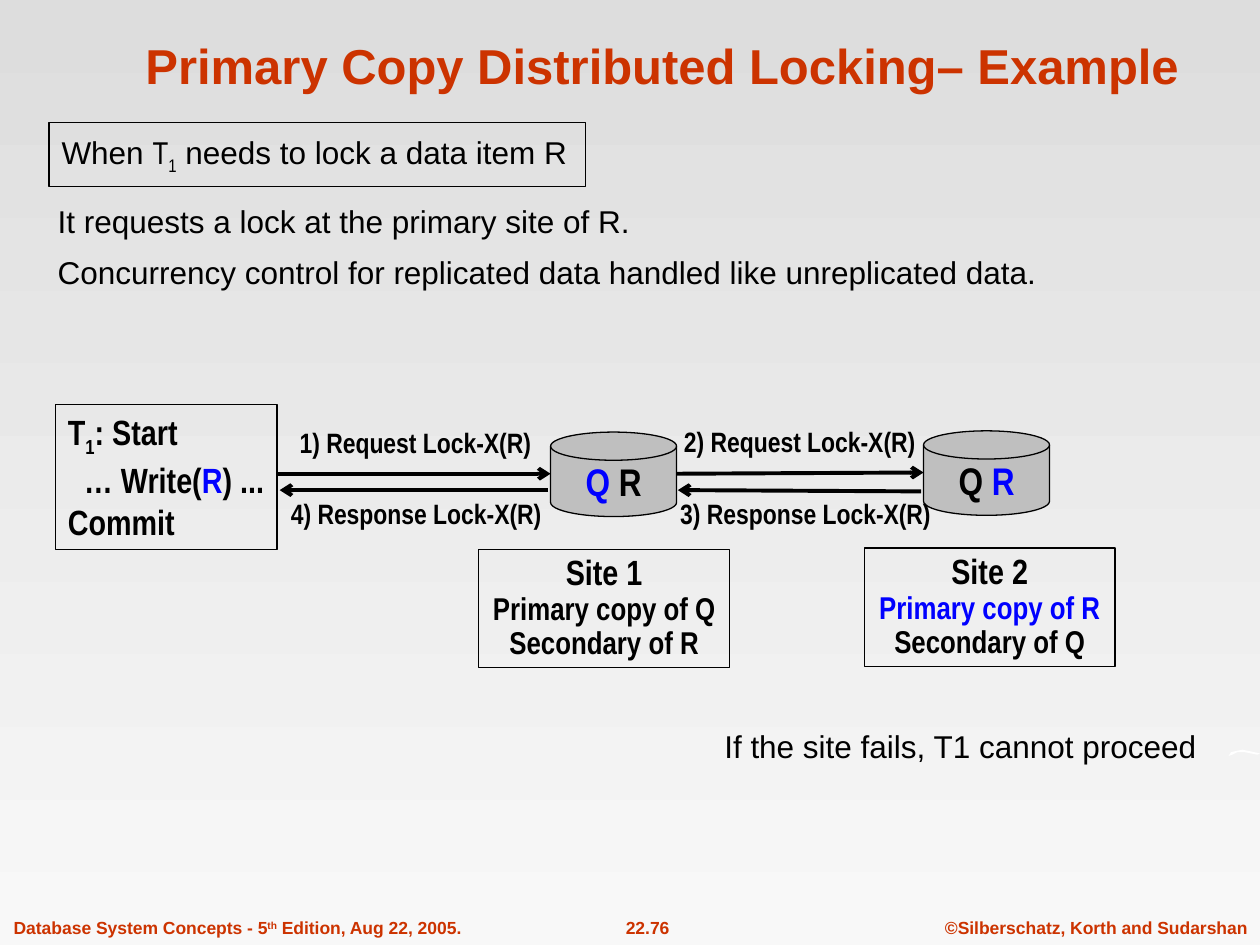
from pptx import Presentation
from pptx.dml.color import RGBColor
from pptx.enum.shapes import MSO_CONNECTOR, MSO_SHAPE
from pptx.enum.text import MSO_ANCHOR, PP_ALIGN
from pptx.oxml.ns import qn
from pptx.util import Inches, Pt
from lxml import etree

LEFT, CENTER = PP_ALIGN.LEFT, PP_ALIGN.CENTER
TOP, MIDDLE, BOTTOM = MSO_ANCHOR.TOP, MSO_ANCHOR.MIDDLE, MSO_ANCHOR.BOTTOM
RECT, DISK = MSO_SHAPE.RECTANGLE, MSO_SHAPE.FLOWCHART_MAGNETIC_DISK
STRAIGHT = MSO_CONNECTOR.STRAIGHT

COLORS = {"accent": "CC3300", "ink": "000000", "primary": "0000FF",
          "disk": "BFBFBF", "sliver": "FFFFFF",
          "sky": "DDDDDD", "ground": "F8F8F8"}
SANS, NARROW = "Arial", "Arial Narrow"
SUB, SUPER = -25, 30

# Content: a paragraph is a list of spans (text, overrides)
TITLE = "Primary Copy Distributed Locking– Example"
CONDITION = [[("When ", {}), ("T", {"font": NARROW}),
              ("1", {"font": NARROW, "shift": SUB}),
              (" needs to lock a data item R", {})]]
STEPS = [[("It requests a lock at the primary site of R.", {})],
         [("Concurrency control for replicated data handled like "
           "unreplicated data.", {})]]
FAILURE = [[("If the site fails, T1 cannot proceed", {})]]
TRANSACTION = [[("T", {}), ("1", {"shift": SUB}), (": Start", {})],
               [("… Write(", {}), ("R", {"color": "primary"}), (") ...", {})],
               [("Commit", {})]]
# Disk place, caption place, primary item, secondary item
SITES = [((4.37, 3.43), (3.8, 4.36), "Q", "R"),
         ((7.33, 3.42), (6.86, 4.35), "R", "Q")]
MESSAGES = [("1) Request Lock-X(R)", (2.28, 3.33), 2.04),
            ("2) Request Lock-X(R)", (5.33, 3.32), 2.04),
            ("3) Response Lock-X(R)", (5.3, 3.89), 2.19),
            ("4) Response Lock-X(R)", (2.21, 3.89), 2.19)]
ARROWS = [(2.2, 3.76, 4.37, 3.76), (5.37, 3.76, 7.33, 3.75),
          (7.31, 3.9, 5.38, 3.89), (4.35, 3.89, 2.22, 3.89)]
FOOTERS = [(0.01, 3.79, LEFT, [("Database System Concepts - 5", {}),
                               ("th", {"shift": SUPER}),
                               (" Edition, Aug 22, 2005.", {})]),
           (4.61, 1.06, CENTER, [("22.76", {})]),
           (7.4, 2.6, CENTER, [("©Silberschatz, Korth and Sudarshan", {})])]
SLIVER = [(9.75, 6), (9.77, 5.97), (9.81, 5.96), (9.86, 5.95), (9.91, 5.96),
          (10, 5.98), (9.98, 5.99), (9.88, 5.97), (9.82, 5.97), (9.78, 5.99)]


def rgb(name):
    return RGBColor.from_string(COLORS[name])


def set_font(font, face, size, color, bold):
    font.name, font.size, font.bold = face, Pt(size), bold
    font.color.rgb = rgb(color)


def write(shape, paragraphs, face=SANS, size=18, color="ink", bold=False,
          align=LEFT, anchor=TOP, wrap=False, gap=0, spacing=None):
    frame = shape.text_frame
    frame.word_wrap, frame.vertical_anchor = wrap, anchor
    for index, spans in enumerate(paragraphs):
        para = frame.add_paragraph() if index else frame.paragraphs[0]
        para.alignment = align
        if index and gap:
            para.space_before = Pt(gap)
        if spacing:
            para.line_spacing = spacing
        set_font(para.font, face, size, color, bold)
        for text, changes in spans:
            span = para.add_run()
            span.text = text
            set_font(span.font, changes.get("font", face),
                     changes.get("size", size),
                     changes.get("color", color), bold)
            if "shift" in changes:
                span.font._element.set("baseline", str(changes["shift"] * 1000))


def add_text(slide, place, paragraphs, **style):
    box = slide.shapes.add_textbox(*map(Inches, place))
    write(box, paragraphs, **style)


def add_outlined(slide, kind, place, paragraphs, fill=None, **style):
    shape = slide.shapes.add_shape(kind, *map(Inches, place))
    shape.shadow.inherit = False
    if fill:
        shape.fill.solid()
        shape.fill.fore_color.rgb = rgb(fill)
    else:
        shape.fill.background()
    shape.line.color.rgb = rgb("ink")
    shape.line.width = Pt(0.75)
    write(shape, paragraphs, **style)
    return shape


def add_arrow(slide, ends):
    arrow = slide.shapes.add_connector(STRAIGHT, *map(Inches, ends))
    arrow.line.color.rgb = rgb("ink")
    arrow.line.width = Pt(2.25)
    etree.SubElement(arrow.line._get_or_add_ln(), qn("a:tailEnd"), type="arrow")
    etree.SubElement(arrow._element.spPr, qn("a:effectLst"))


def main():
    deck = Presentation()
    deck.slide_width, deck.slide_height = Inches(10), Inches(7.5)
    slide = deck.slides.add_slide(deck.slide_layouts[5])

    # Background, light at the foot
    backdrop = slide.background.fill
    backdrop.gradient()
    backdrop.gradient_angle = 270
    for stop, name, position in zip(backdrop.gradient_stops,
                                    ("sky", "ground"), (0, 1)):
        stop.color.rgb = rgb(name)
        stop.position = position

    # Footer and edge ornament
    for left, width, align, spans in FOOTERS:
        add_text(slide, (left, 7.23, width, 0.27), [spans], size=10,
                 color="accent", bold=True, align=align)
    points = [(Inches(x), Inches(y)) for x, y in SLIVER]
    builder = slide.shapes.build_freeform(*points[0])
    builder.add_line_segments(points[1:], close=True)
    sliver = builder.convert_to_shape()
    sliver.shadow.inherit = False
    sliver.fill.solid()
    sliver.fill.fore_color.rgb = rgb("sliver")
    sliver.line.fill.background()

    # Title
    title = slide.shapes.title
    title.left, title.top, title.width, title.height = map(
        Inches, (0.84, 0.13, 8.83, 0.67))
    write(title, [[(TITLE, {})]], size=28, color="accent", bold=True,
          align=CENTER, anchor=BOTTOM, wrap=True)

    # Statements
    add_outlined(slide, RECT, (0.39, 0.97, 4.26, 0.51), CONDITION, anchor=MIDDLE)
    add_text(slide, (0.36, 1.55, 8.57, 0.81), STEPS, wrap=True, gap=7.9)
    add_text(slide, (5.65, 5.72, 4.35, 0.4), FAILURE, wrap=True)

    # Transaction and the two sites
    label = {"face": NARROW, "bold": True}
    transaction = add_outlined(slide, RECT, (0.44, 3.21, 1.76, 1.15),
                               TRANSACTION, size=20, **label)
    write_line = transaction.text_frame.paragraphs[1]
    write_line._p.get_or_add_pPr().set("marL", str(Inches(0.13)))
    mark = {"color": "primary"}
    for number, (disk, caption, primary, secondary) in enumerate(SITES, 1):
        items = [("Q ", mark if primary == "Q" else {}),
                 ("R", mark if primary == "R" else {})]
        add_outlined(slide, DISK, (*disk, 1, 0.67), [items], fill="disk",
                     size=22, align=CENTER, anchor=MIDDLE, **label)
        lines = [[(f"Site {number}", {"size": 20})],
                 [(f"Primary copy of {primary}", mark if primary == "R" else {})],
                 [(f"Secondary of {secondary}", {})]]
        add_outlined(slide, RECT, (*caption, 1.99, 0.94), lines, align=CENTER,
                     wrap=True, spacing=0.9, **label)

    # Messages between them
    for ends in ARROWS:
        add_arrow(slide, ends)
    for text, place, width in MESSAGES:
        add_text(slide, (*place, width, 0.37), [[(text, {})]], size=16, **label)

    deck.save("out.pptx")


if __name__ == "__main__":
    main()
